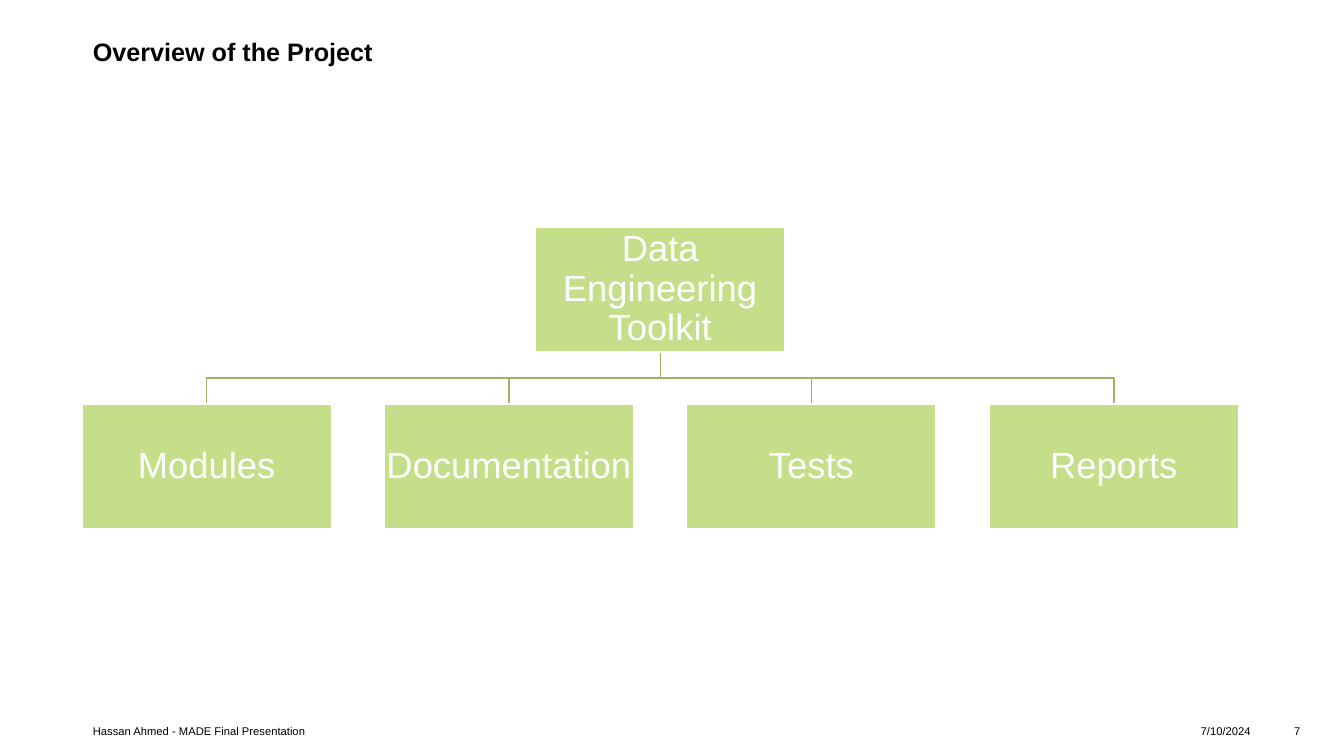
"""Build the project overview slide with its organisation chart."""
from dataclasses import dataclass

from pptx import Presentation
from pptx.dml.color import RGBColor
from pptx.enum.shapes import MSO_SHAPE as Shape
from pptx.enum.text import MSO_ANCHOR as Anchor, PP_ALIGN as Align
from pptx.util import Cm, Pt


@dataclass(frozen=True)
class Theme:
    font: str = "Arial"
    text: RGBColor = RGBColor(0x00, 0x00, 0x00)
    white: RGBColor = RGBColor(0xFF, 0xFF, 0xFF)
    box: RGBColor = RGBColor(0xC5, 0xDE, 0x89)
    branch: RGBColor = RGBColor(0x9E, 0xB2, 0x6E)
    title_size: Pt = Pt(18)
    box_size: Pt = Pt(26)
    footer_size: Pt = Pt(8)


theme = Theme()


def write(shape, text, size, color, align, inset=0, bold=False):
    frame = shape.text_frame
    frame.word_wrap = True
    frame.margin_left = frame.margin_right = Cm(inset)
    frame.margin_top = frame.margin_bottom = Cm(inset)
    paragraph = frame.paragraphs[0]
    paragraph.text = text
    paragraph.alignment = align
    paragraph.font.name = theme.font
    paragraph.font.size = size
    paragraph.font.bold = bold
    paragraph.font.color.rgb = color
    return frame, paragraph


presentation = Presentation()
presentation.slide_width, presentation.slide_height = Cm(33.87), Cm(19.05)
slide = presentation.slides.add_slide(presentation.slide_layouts[6])

title = slide.shapes.add_textbox(Cm(2.34), Cm(0.91), Cm(28.63), Cm(1.4))
write(title, "Overview of the Project", theme.title_size, theme.text, Align.LEFT, bold=True)

footers = [
    (2.34, 24.74, "Hassan Ahmed - MADE Final Presentation", Align.LEFT),
    (27.05, 4.47, "7/10/2024", Align.RIGHT),
    (31.52, 2.34, "7", Align.CENTER),
]
for left, width, text, align in footers:
    footer = slide.shapes.add_textbox(Cm(left), Cm(18.24), Cm(width), Cm(0.36))
    write(footer, text, theme.footer_size, theme.text, align)

box_width, box_height = 6.3, 3.15
first_left, pitch = 2.06, 7.62
root_top, branch_top = 5.72, 10.19
branches = ["Modules", "Documentation", "Tests", "Reports"]

root_left = first_left + pitch * (len(branches) - 1) / 2
root_center = root_left + box_width / 2
root_bottom = root_top + box_height
bend = (root_bottom + branch_top) / 2
boxes = [("Data Engineering Toolkit", root_left, root_top)]

for index, name in enumerate(branches):
    left = first_left + index * pitch
    center = left + box_width / 2
    boxes.append((name, left, branch_top))
    builder = slide.shapes.build_freeform(Cm(root_center), Cm(root_bottom))
    corners = [(root_center, bend), (center, bend), (center, branch_top)]
    builder.add_line_segments([(Cm(x), Cm(y)) for x, y in corners], close=False)
    elbow = builder.convert_to_shape()
    elbow.shadow.inherit = False
    elbow.fill.background()
    elbow.line.color.rgb = theme.branch
    elbow.line.width = Pt(1)

for name, left, top in boxes:
    box = slide.shapes.add_shape(
        Shape.RECTANGLE, Cm(left), Cm(top), Cm(box_width), Cm(box_height))
    box.shadow.inherit = False
    box.fill.solid()
    box.fill.fore_color.rgb = theme.box
    box.line.color.rgb = theme.white
    box.line.width = Pt(1.5)
    frame, paragraph = write(box, name, theme.box_size, theme.white, Align.CENTER, inset=0.04)
    frame.vertical_anchor = Anchor.MIDDLE
    paragraph.line_spacing = 0.9

presentation.save("out.pptx")
